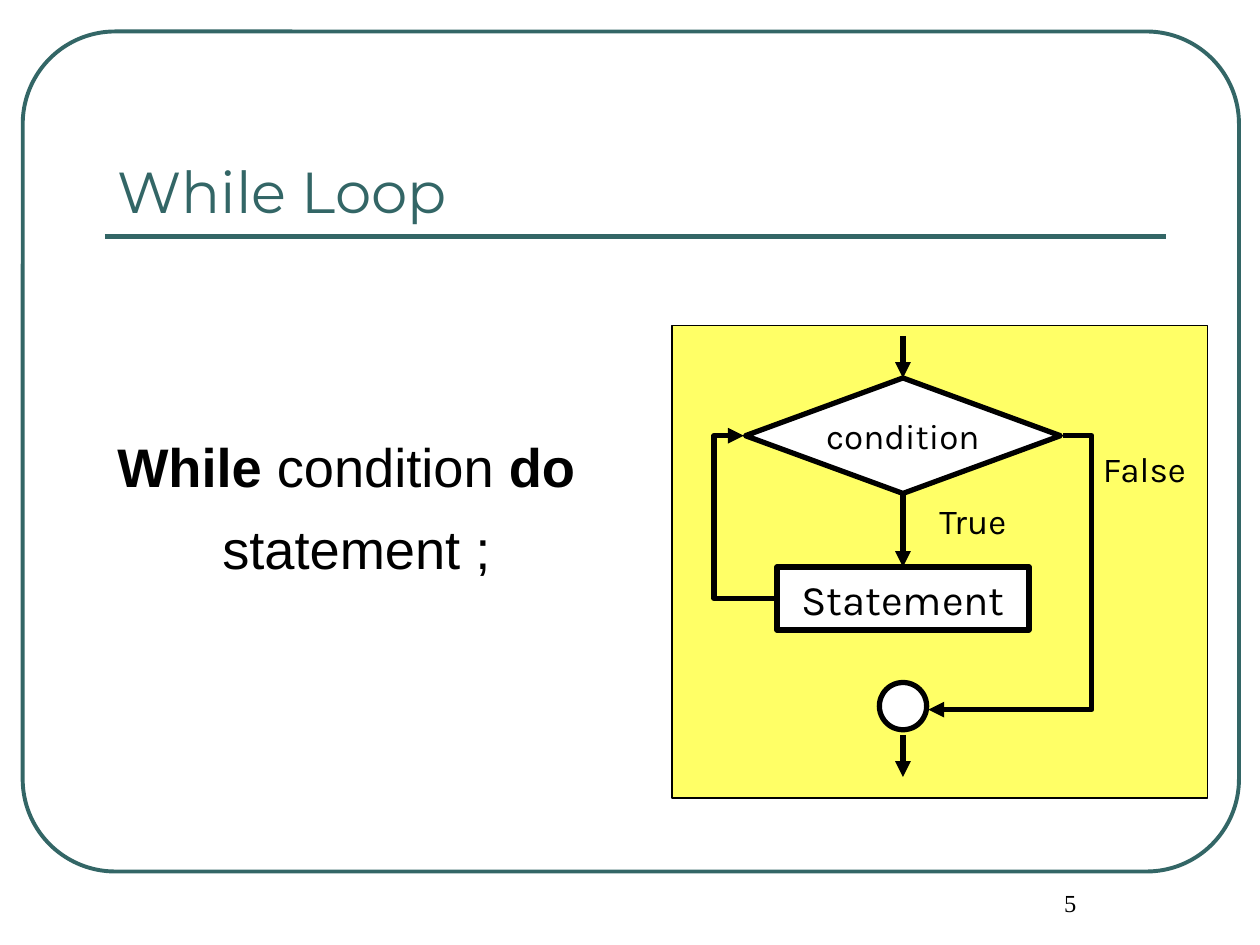
import copy
from dataclasses import dataclass

import lxml.etree
import pptx
import pptx.dml.color
import pptx.enum.shapes
import pptx.enum.text
import pptx.oxml.ns
import pptx.util

Pt = pptx.util.Pt
qn = pptx.oxml.ns.qn
Shape = pptx.enum.shapes.MSO_SHAPE
Connector = pptx.enum.shapes.MSO_CONNECTOR
Anchor = pptx.enum.text.MSO_ANCHOR
Align = pptx.enum.text.PP_ALIGN


@dataclass(frozen=True)
class Theme:
    """Colours, fonts and sizes of the slide."""
    teal: str = "336666"
    yellow: str = "FFFF66"
    black: str = "000000"
    white: str = "FFFFFF"
    title_font: str = "Montserrat"
    code_font: str = "Arial"
    chart_font: str = "Karla"
    number_font: str = "Times New Roman"
    title_size: float = 33
    code_size: float = 31
    statement_size: float = 24
    label_size: float = 20
    number_size: float = 14


THEME = Theme()


def rgb(value):
    """Return a colour object for a hex value."""
    return pptx.dml.color.RGBColor.from_string(value)


def style_font(paragraph, family, size, color=THEME.black):
    """Set the font of a whole paragraph."""
    font = paragraph.font
    font.name, font.size, font.color.rgb = family, Pt(size), rgb(color)


def add_text_box(slide, box, wrap=True, anchor=Anchor.TOP):
    """Add an empty text box and return its text frame."""
    frame = slide.shapes.add_textbox(*map(Pt, box)).text_frame
    frame.word_wrap, frame.vertical_anchor = wrap, anchor
    return frame


def add_outline(slide, kind, box, color, width, fill=None):
    """Add a preset shape with an outline and an optional fill."""
    shape = slide.shapes.add_shape(kind, *map(Pt, box))
    shape.shadow.inherit = False
    if fill:
        shape.fill.solid()
        shape.fill.fore_color.rgb = rgb(fill)
    else:
        shape.fill.background()
    shape.line.color.rgb, shape.line.width = rgb(color), Pt(width)
    return shape


def add_line(slide, start, end, color=THEME.black, arrow=True, lane=None):
    """Add a line, or an elbow that runs along the x position of its lane."""
    kind = Connector.STRAIGHT if lane is None else Connector.ELBOW
    line = slide.shapes.add_connector(kind, *map(Pt, (*start, *end)))
    line.line.color.rgb, line.line.width = rgb(color), Pt(3)
    properties = line._element.spPr
    lxml.etree.SubElement(properties, qn("a:effectLst"))
    if arrow:
        lxml.etree.SubElement(properties.find(qn("a:ln")), qn("a:tailEnd"), type="triangle")
    if lane is not None:
        bend = round((lane - start[0]) / (end[0] - start[0]) * 100000)
        guides = properties.find(qn("a:prstGeom")).find(qn("a:avLst"))
        lxml.etree.SubElement(guides, qn("a:gd"), name="adj1", fmla=f"val {bend}")


def add_frame(slide, box):
    """Draw the rounded border of the slide."""
    add_outline(slide, Shape.ROUNDED_RECTANGLE, box, THEME.teal, 2.25).adjustments[0] = 0.11


def add_title(slide, box, text):
    """Place the title with the rule below it."""
    left, top, width, height = box
    rule = top + height + 3
    add_line(slide, (left, rule), (left + width, rule), THEME.teal, arrow=False)
    title = add_text_box(slide, box, anchor=Anchor.BOTTOM).paragraphs[0]
    title.text = text
    style_font(title, THEME.title_font, THEME.title_size, THEME.teal)


def add_syntax(slide, box):
    """Write the form of the loop with bold keywords."""
    frame = add_text_box(slide, box)
    header, body = frame.paragraphs[0], frame.add_paragraph()
    for text, is_keyword in (("While", True), (" condition ", False), ("do", True)):
        run = header.add_run()
        run.text, run.font.bold = text, is_keyword
    body.text = "statement ;"
    body.space_before = Pt(9.6)
    body._p.get_or_add_pPr().set("marL", str(Pt(60)))
    for paragraph in (header, body):
        style_font(paragraph, THEME.code_font, THEME.code_size)


def add_flowchart(slide, box):
    """Draw the flowchart of the loop on its panel."""
    left, top = box[:2]
    axis = 132

    def at(x, y):
        return left + x, top + y

    def write(frame, text, size):
        frame.word_wrap = False
        label = frame.paragraphs[0]
        label.text, label.alignment = text, Align.CENTER
        style_font(label, THEME.chart_font, size)

    def add_node(kind, y, width, height):
        place = (*at(axis - width / 2, y), width, height)
        return add_outline(slide, kind, place, THEME.black, 3, THEME.white)

    add_outline(slide, Shape.RECTANGLE, box, THEME.black, 0.75, THEME.yellow)
    condition = add_node(Shape.DIAMOND, 30, 180, 66)
    statement = add_node(Shape.RECTANGLE, 138, 144, 36)
    add_node(Shape.OVAL, 204, 27, 27)
    write(condition.text_frame, "condition", THEME.label_size)
    write(statement.text_frame, "Statement", THEME.statement_size)

    for text, x, y, width in (("False", 239, 66, 62), ("True", 143, 96, 58)):
        write(add_text_box(slide, (*at(x, y), width, 32)), text, THEME.label_size)
    for start, end in ((6, 30), (96, 138), (234, 258)):
        add_line(slide, at(axis, start), at(axis, end))
    add_line(slide, at(223.5, 63), at(146.5, 219.5), lane=left + 240)
    add_line(slide, at(59, 156), at(41, 63), lane=left + 24)


def add_page_number(slide, box, number):
    """Write the page number below the frame."""
    page = add_text_box(slide, box).paragraphs[0]
    page.text, page.alignment = str(number), Align.CENTER
    page._p.get_or_add_pPr().set("marL", str(Pt(17)))
    style_font(page, THEME.number_font, THEME.number_size)


def main():
    """Build the slide and save it."""
    deck = pptx.Presentation()
    deck.slide_width, deck.slide_height = Pt(720), Pt(540)
    slide = deck.slides.add_slide(deck.slide_layouts[6])
    add_frame(slide, (13, 18, 695, 480))
    add_title(slide, (60, 42, 606, 90), "While Loop")
    add_syntax(slide, (60, 244, 310, 90))
    add_flowchart(slide, (384, 186, 306, 270))
    add_page_number(slide, (540, 504, 126, 36), 5)
    deck.save("out.pptx")


if __name__ == "__main__":
    main()
